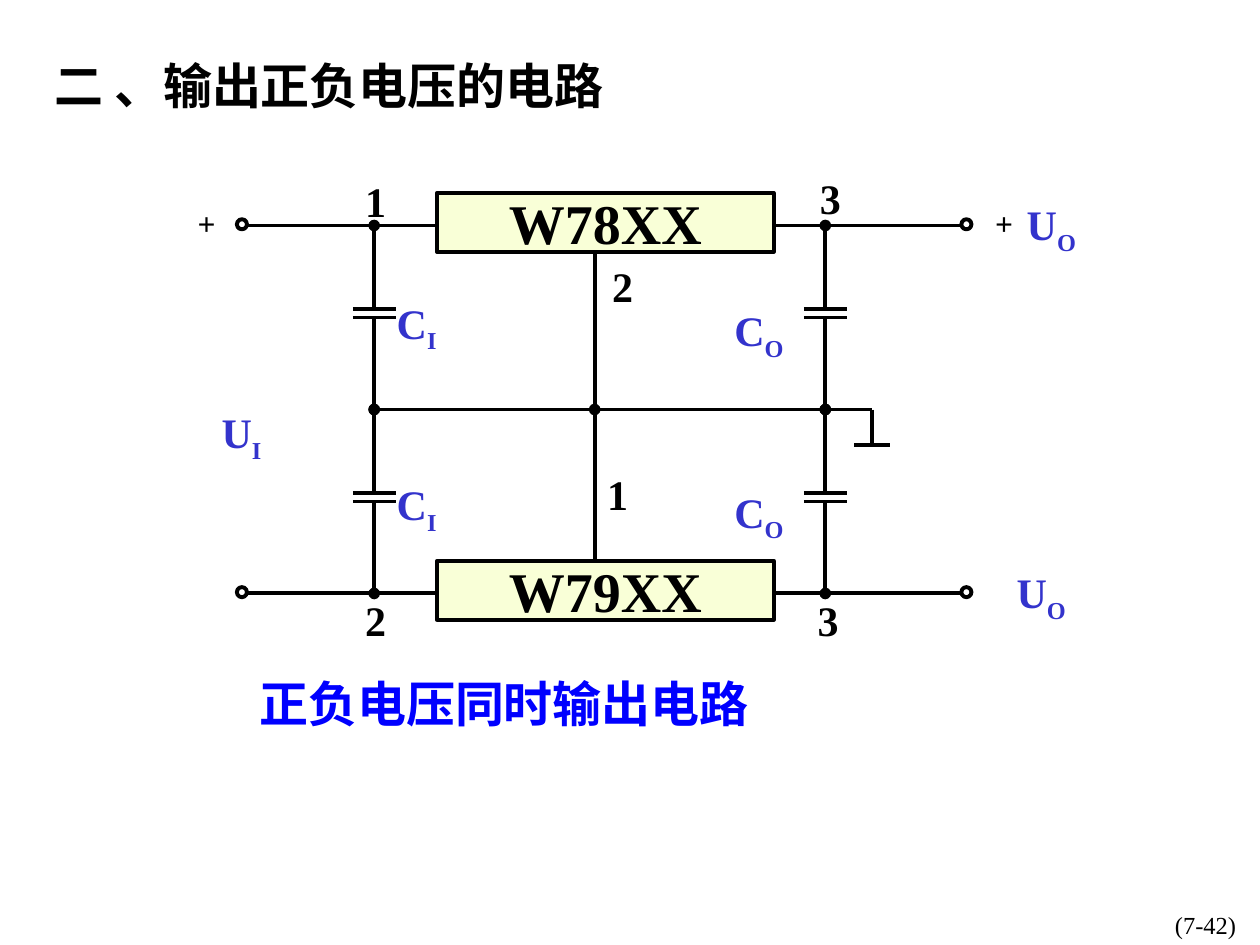
from lxml import etree
from pptx import Presentation
from pptx.dml.color import RGBColor
from pptx.enum.shapes import MSO_CONNECTOR, MSO_SHAPE
from pptx.enum.text import MSO_ANCHOR, PP_ALIGN
from pptx.oxml.ns import qn
from pptx.util import Inches, Pt

STRAIGHT = MSO_CONNECTOR.STRAIGHT
RECTANGLE, OVAL = MSO_SHAPE.RECTANGLE, MSO_SHAPE.OVAL
LEFT, CENTER, RIGHT = PP_ALIGN.LEFT, PP_ALIGN.CENTER, PP_ALIGN.RIGHT
TOP, MIDDLE = MSO_ANCHOR.TOP, MSO_ANCHOR.MIDDLE

FONT = "Times New Roman"
BLACK = RGBColor(0, 0, 0)
BLUE = RGBColor(0, 0, 255)
INDIGO = RGBColor(0x33, 0x33, 0xCC)
CREAM = RGBColor(0xF9, 0xFF, 0xD7)
LINE_WIDTH = Pt(2.25)

INPUT_X, OUTPUT_X = 1.96, 7.63
IN_CAP_X, MID_X, OUT_CAP_X = 2.97, 4.72, 6.55
CHIP_X, CHIP_WIDTH, CHIP_HEIGHT = 3.47, 2.67, 0.47
TOP_RAIL, GROUND_RAIL, BOTTOM_RAIL = 1.79, 3.25, 4.71
CHIP_RISE = 0.26
RING = 0.08
PLATE_HALF, PLATE_DROP, PLATE_GAP = 0.17, 0.66, 0.07
GROUND_X, GROUND_DROP, GROUND_HALF = 6.92, 0.28, 0.14


def inches(*lengths):
    return [Inches(length) for length in lengths]


def style_text(frame, size, color, align=LEFT, bold=True):
    for para in frame.paragraphs:
        para.alignment = align
        for span in para.runs:
            span.font.name = FONT
            span.font.size = Pt(size)
            span.font.bold = bold
            span.font.color.rgb = color


def add_title(page, text):
    title = page.shapes.title
    title.left, title.top, title.width, title.height = inches(0.33, 0.39, 6.42, 0.53)
    title.text_frame.text = text
    title.text_frame.vertical_anchor = TOP
    style_text(title.text_frame, 28, BLACK)


def add_label(page, text, left, top, width, height, size, color,
              align=LEFT, bold=True, subscript="", wrap=False):
    box = page.shapes.add_textbox(*inches(left, top, width, height))
    frame = box.text_frame
    frame.word_wrap = wrap
    frame.text = text
    para = frame.paragraphs[0]
    if subscript:
        span = para.add_run()
        span.text = subscript
        span._r.get_or_add_rPr().set("baseline", "-25000")
    style_text(frame, size, color, align, bold)
    return para


def add_wire(page, x1, y1, x2, y2, dot=None):
    wire = page.shapes.add_connector(STRAIGHT, *inches(x1, y1, x2, y2))
    wire.line.color.rgb = BLACK
    wire.line.width = LINE_WIDTH
    properties = wire._element.spPr
    if dot:
        etree.SubElement(properties.find(qn("a:ln")), qn(f"a:{dot}"), type="oval")
    etree.SubElement(properties, qn("a:effectLst"))


def add_outline(page, kind, left, top, width, height):
    shape = page.shapes.add_shape(kind, *inches(left, top, width, height))
    shape.shadow.inherit = False
    shape.fill.background()
    shape.line.color.rgb = BLACK
    shape.line.width = LINE_WIDTH
    return shape


def add_regulator(page, text, rail):
    chip = add_outline(page, RECTANGLE, CHIP_X, rail - CHIP_RISE, CHIP_WIDTH, CHIP_HEIGHT)
    chip.fill.solid()
    chip.fill.fore_color.rgb = CREAM
    frame = chip.text_frame
    frame.word_wrap = False
    frame.vertical_anchor = MIDDLE
    frame.text = text
    style_text(frame, 32, BLACK, CENTER)


def add_rail(page, text, rail):
    add_wire(page, CHIP_X, rail, INPUT_X, rail)
    add_wire(page, CHIP_X + CHIP_WIDTH, rail, OUTPUT_X, rail)
    add_regulator(page, text, rail)
    for left in (INPUT_X - RING, OUTPUT_X):
        add_outline(page, OVAL, left, rail - 0.05, RING, RING)


def add_capacitor(page, x, top, bottom):
    upper = top + PLATE_DROP
    lower = upper + PLATE_GAP
    add_wire(page, x, top, x, upper, "headEnd")
    add_wire(page, x, lower, x, bottom, "tailEnd")
    for y in (upper, lower):
        add_wire(page, x - PLATE_HALF, y, x + PLATE_HALF, y)


def add_ground(page):
    foot = GROUND_RAIL + GROUND_DROP
    add_wire(page, OUT_CAP_X, GROUND_RAIL, GROUND_X, GROUND_RAIL)
    add_wire(page, GROUND_X, GROUND_RAIL, GROUND_X, foot)
    add_wire(page, GROUND_X - GROUND_HALF, foot, GROUND_X + GROUND_HALF, foot)


def add_circuit(page):
    add_rail(page, "W78XX", TOP_RAIL)
    add_rail(page, "W79XX", BOTTOM_RAIL)
    for x in (IN_CAP_X, OUT_CAP_X):
        add_capacitor(page, x, TOP_RAIL, GROUND_RAIL)
        add_capacitor(page, x, GROUND_RAIL, BOTTOM_RAIL)
    add_wire(page, IN_CAP_X, GROUND_RAIL, OUT_CAP_X, GROUND_RAIL)
    add_wire(page, MID_X, TOP_RAIL - CHIP_RISE + CHIP_HEIGHT, MID_X, GROUND_RAIL, "tailEnd")
    add_wire(page, MID_X, GROUND_RAIL, MID_X, BOTTOM_RAIL - CHIP_RISE)
    add_ground(page)


def add_circuit_labels(page):
    pins = [("1", 2.8, 1.34), ("3", 6.41, 1.32), ("2", 4.76, 2.02),
            ("1", 4.72, 3.67), ("2", 2.8, 4.67), ("3", 6.39, 4.67)]
    for text, left, top in pins:
        add_label(page, text, left, top, 0.36, 0.5, 24, BLACK)

    symbols = [("C", "I", 3.05, 2.31), ("C", "I", 3.05, 3.75),
               ("C", "O", 5.73, 2.37), ("C", "O", 5.73, 3.81),
               ("U", "I", 1.66, 3.18), ("U", "O", 8.05, 1.53), ("U", "O", 7.97, 4.45)]
    for text, subscript, left, top in symbols:
        add_label(page, text, left, top, 0.59, 0.56, 24, INDIGO, subscript=subscript)

    for left in (1.47, 7.8):
        para = add_label(page, "+", left, 1.36, 0.36, 0.61, 18, BLACK)
        para.line_spacing = 1.7


def main():
    deck = Presentation()
    deck.slide_width, deck.slide_height = inches(10, 7.5)
    page = deck.slides.add_slide(deck.slide_layouts[5])
    add_title(page, "二 、输出正负电压的电路")
    add_circuit(page)
    add_circuit_labels(page)
    add_label(page, "正负电压同时输出电路", 1.96, 5.3, 4.08, 0.57, 28, BLUE)
    add_label(page, "(7-42)", 7.83, 7.17, 2.08, 0.5, 14, BLACK, RIGHT, False, wrap=True)
    deck.save("out.pptx")


if __name__ == "__main__":
    main()
